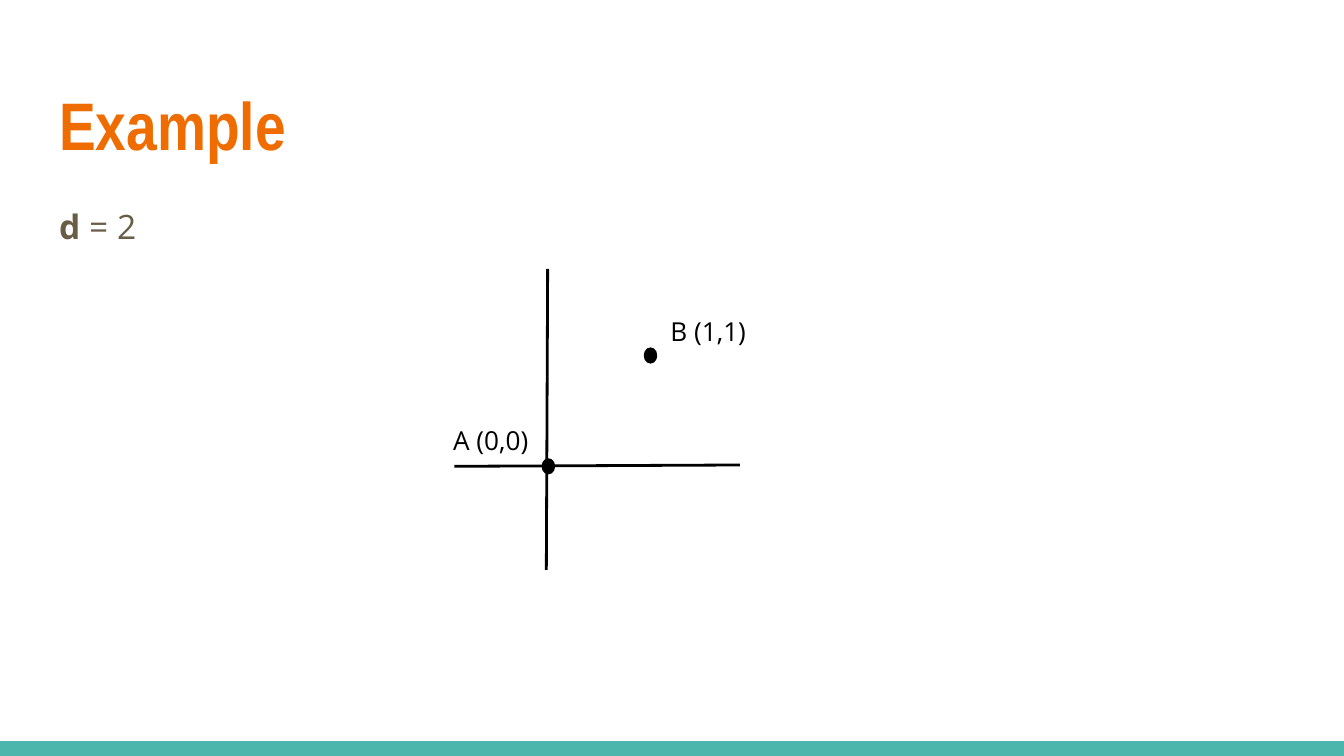
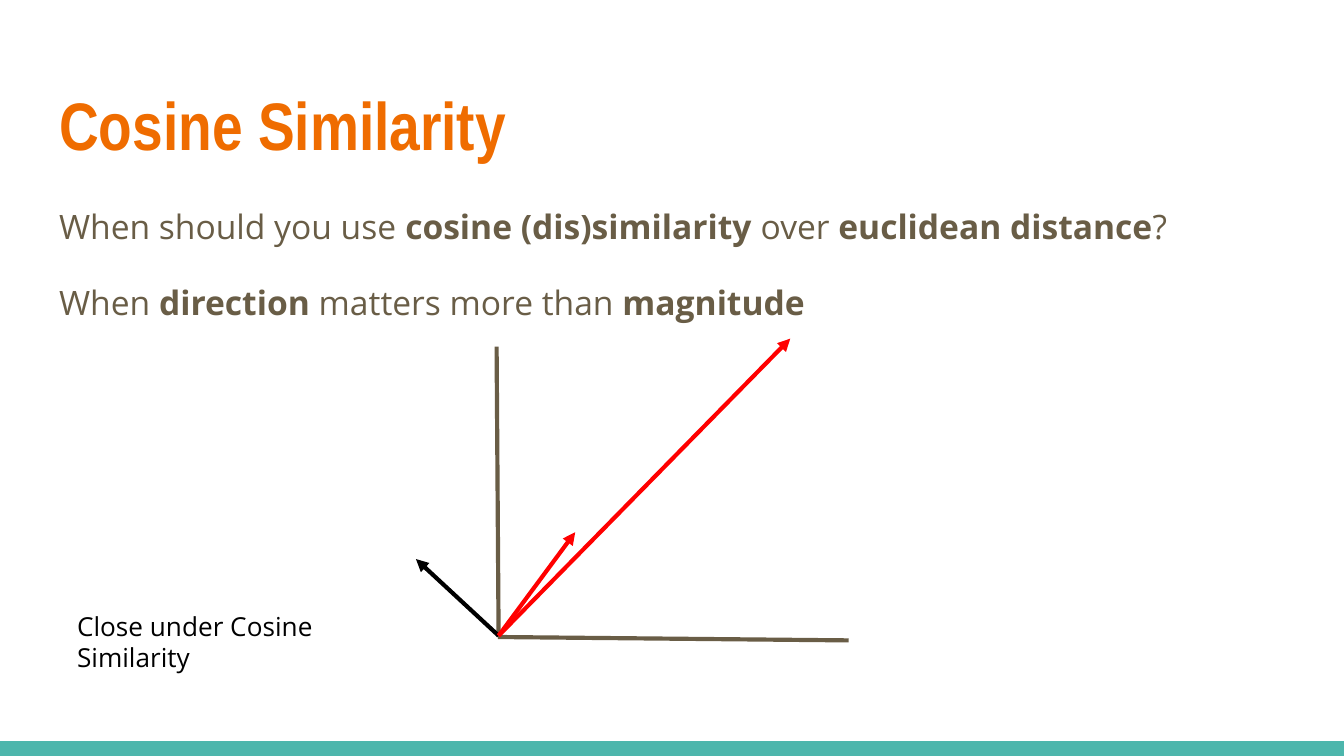
"""Build two slides on distance measures: an example plot and cosine similarity."""
from lxml import etree
from pptx import Presentation
from pptx.dml.color import RGBColor
from pptx.enum.shapes import MSO_CONNECTOR as MC, MSO_SHAPE as MS
from pptx.enum.text import MSO_ANCHOR as MA, MSO_AUTO_SIZE as AS, PP_ALIGN as PA
from pptx.oxml.ns import qn
from pptx.util import Pt

PX = 4572
WIDTH, HEIGHT, BAND = 2000, 1125, 22
TEAL, ORANGE, BROWN, BLACK, RED = "4DB6AC", "EF6C00", "695D46", "000000", "FF0000"
TITLE = {"name": "Arial Narrow", "size": Pt(36)}
BODY = {"name": "Open Sans", "size": Pt(18)}
LABEL = {"name": "Open Sans", "size": Pt(14)}
FRAME = {"word_wrap": True, "auto_size": AS.NONE, "vertical_anchor": MA.TOP,
         "margin_left": 20 * PX, "margin_right": 20 * PX,
         "margin_top": 20 * PX, "margin_bottom": 20 * PX}

SLIDES = [
    {
        "title": "Example",
        "body": [[("d ", True), ("= 2", False)]],
        "body_height": 98,
        "lines": [(815, 400, 813, 848, BLACK, 1.5, False),
                  (676, 694, 1101, 692, BLACK, 1.5, False)],
        "points": [(807, 683), (959, 518)],
        "labels": [("B (1,1)", 978, 449, 184, 62, PA.LEFT),
                   ("A (0,0)", 611, 612, 195, 62, PA.RIGHT)],
    },
    {
        "title": "Cosine Similarity",
        "body": [[("When should you use ", False), ("cosine (dis)similarity ", True),
                  ("over ", False), ("euclidean distance", True), ("?", False)],
                 [("When ", False), ("direction", True),
                  (" matters more than ", False), ("magnitude", True)]],
        "body_height": 238,
        "lines": [(739, 516, 742, 948, BROWN, 2.25, False),
                  (741, 948, 1263, 953, BROWN, 2.25, False),
                  (742, 946, 619, 832, BLACK, 2.25, True),
                  (742, 946, 856, 792, RED, 2.25, True),
                  (742, 946, 1176, 504, RED, 2.25, True)],
        "points": [],
        "labels": [("Close under Cosine Similarity", 95, 888, 414, 126, PA.LEFT)],
    },
]


def rgb(value):
    """Turn a hex string into a colour."""
    return RGBColor.from_string(value)


def write(sp, box, paragraphs, font, color, align=PA.LEFT):
    """Place a text shape and fill it with formatted runs."""
    for name, value in zip(("left", "top", "width", "height"), box):
        setattr(sp, name, value * PX)
    tf = sp.text_frame
    for name, value in FRAME.items():
        setattr(tf, name, value)
    for i, runs in enumerate(paragraphs):
        p = tf.add_paragraph() if i else tf.paragraphs[0]
        p.alignment = align
        for text, bold in runs:
            r = p.add_run()
            r.text = text
            for name, value in {**font, "bold": bold}.items():
                setattr(r.font, name, value)
            r.font.color.rgb = rgb(color)


prs = Presentation()
prs.slide_width, prs.slide_height = WIDTH * PX, HEIGHT * PX
layout = prs.slide_layouts[1]

for number, data in enumerate(SLIDES):
    s = prs.slides.add_slide(layout)
    if number == 0:
        band = s.shapes.add_shape(MS.RECTANGLE, 0, (HEIGHT - BAND) * PX, WIDTH * PX, BAND * PX)
        band.shadow.inherit = False
        band.fill.solid()
        band.fill.fore_color.rgb = rgb(TEAL)
        band.line.fill.background()
        layout.shapes.element.append(band.element)

    write(s.shapes.title, (68, 98, 1864, 153), [[(data["title"], True)]], TITLE, ORANGE)
    s.shapes.title.text_frame.margin_top = 26 * PX

    body = s.placeholders[1]
    write(body, (68, 277, 1864, data["body_height"]), data["body"], BODY, BROWN)
    for i, p in enumerate(body.text_frame.paragraphs):
        p.line_spacing = 1.15
        p.space_before = Pt(16 if i else 0)
        p.space_after = Pt(16 if i == len(data["body"]) - 1 else 0)
        pPr = p._p.get_or_add_pPr()
        pPr.set("marL", "0")
        pPr.set("indent", "0")
        etree.SubElement(pPr, qn("a:buNone"))

    for x1, y1, x2, y2, color, width, arrow in data["lines"]:
        line = s.shapes.add_connector(MC.STRAIGHT, x1 * PX, y1 * PX, x2 * PX, y2 * PX)
        line.line.color.rgb = rgb(color)
        line.line.width = Pt(width)
        if arrow:
            etree.SubElement(line.line._get_or_add_ln(), qn("a:tailEnd"), type="triangle")
        etree.SubElement(line.element.spPr, qn("a:effectLst"))

    for x, y in data["points"]:
        point = s.shapes.add_shape(MS.OVAL, x * PX, y * PX, 18 * PX, 22 * PX)
        point.shadow.inherit = False
        point.fill.solid()
        point.fill.fore_color.rgb = rgb(BLACK)
        point.line.color.rgb = rgb(BLACK)
        point.line.width = Pt(0.75)

    for text, x, y, width, height, align in data["labels"]:
        label = s.shapes.add_textbox(0, 0, 0, 0)
        write(label, (x, y, width, height), [[(text, False)]], LABEL, BLACK, align)

prs.save("out.pptx")
